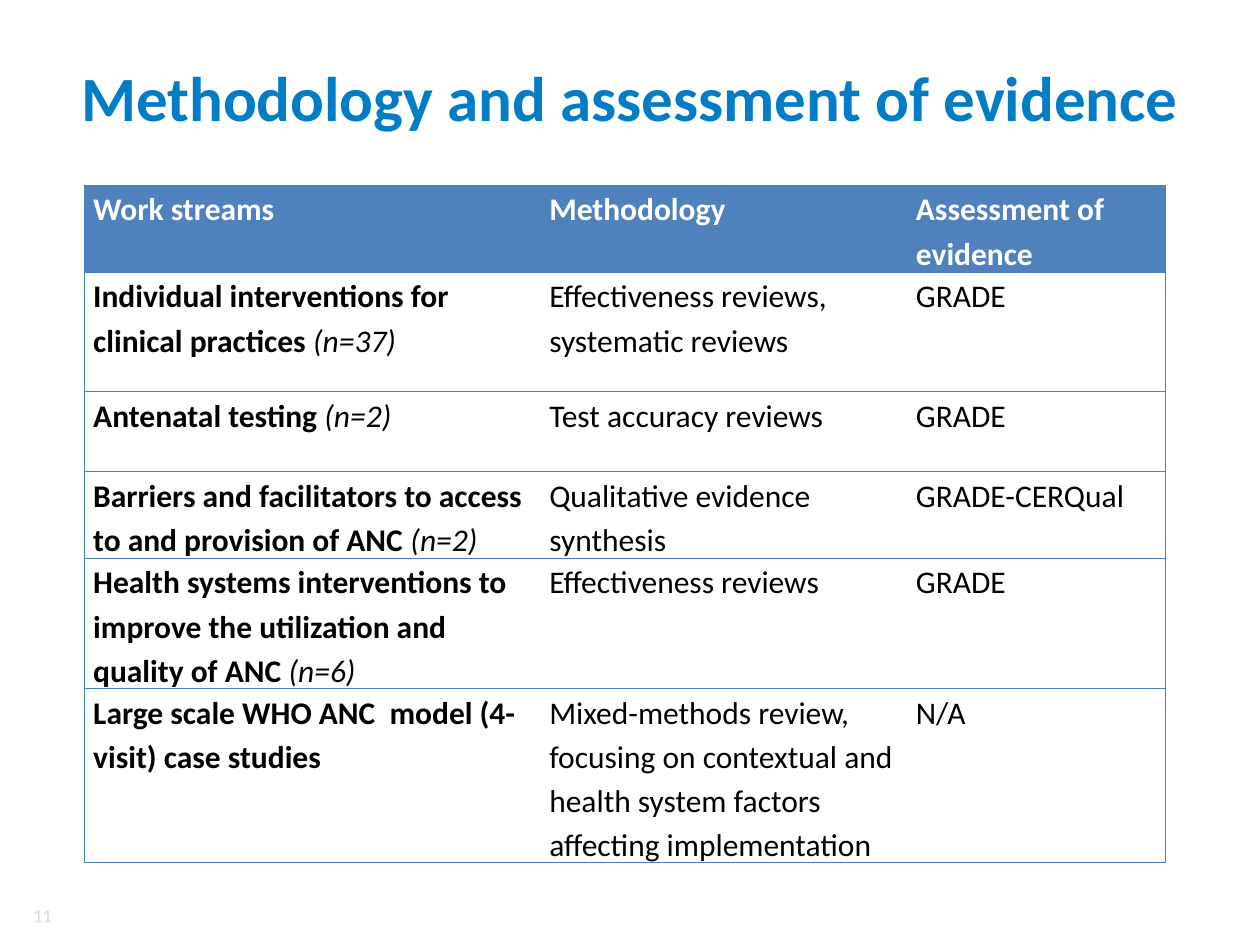
from dataclasses import dataclass

from lxml.etree import SubElement
from pptx import Presentation
from pptx.dml.color import RGBColor
from pptx.enum.text import MSO_ANCHOR, MSO_AUTO_SIZE, PP_ALIGN
from pptx.oxml.ns import qn
from pptx.slide import Slide
from pptx.util import Inches, Pt

WIDTH, HEIGHT = 10, 7.5
NO_GRID_STYLE = "{2D5ABB26-0587-4C30-8999-92F81FD0307C}"


def color(hex_text):
    return RGBColor.from_string(hex_text)


def apply(target, values):
    for name, value in values.items():
        setattr(target, name, value)


def box(left, top, width, height):
    """Turn shares of the slide's size into a position and size."""
    return {"left": Inches(left * WIDTH), "top": Inches(top * HEIGHT),
            "width": Inches(width * WIDTH), "height": Inches(height * HEIGHT)}


@dataclass
class SlideBuilder:
    slide: Slide
    font: str = "Calibri"
    title_color: str = "007DC5"
    header_fill: str = "4F81BD"
    border_color: str = "4B7EBC"
    border_width: float = 0.75

    def add_text(self, paragraph, text, size, hex_text, **styles):
        run = paragraph.add_run()
        run.text = text
        apply(run.font, {"name": self.font, "size": Pt(size), **styles})
        run.font.color.rgb = color(hex_text)

    def title(self, text, place):
        shape = self.slide.shapes.title
        apply(shape, place)
        apply(shape.text_frame, {"auto_size": MSO_AUTO_SIZE.NONE, "word_wrap": True,
                                 "vertical_anchor": MSO_ANCHOR.MIDDLE})
        paragraph = shape.text_frame.paragraphs[0]
        paragraph.alignment = PP_ALIGN.CENTER
        self.add_text(paragraph, text, 36, self.title_color, bold=True)

    def page_number(self, text, place):
        frame = self.slide.shapes.add_textbox(**place).text_frame
        apply(frame, {"word_wrap": True, "vertical_anchor": MSO_ANCHOR.MIDDLE})
        paragraph = frame.paragraphs[0]
        paragraph.alignment = PP_ALIGN.RIGHT
        self.add_text(paragraph, text, 10.5, "D9D9D9")

    def border(self, cell, sides):
        properties = cell._tc.get_or_add_tcPr()
        for side in sides:
            line = SubElement(properties, qn(f"a:ln{side}"), w=str(Pt(self.border_width)))
            fill = SubElement(line, qn("a:solidFill"))
            SubElement(fill, qn("a:srgbClr"), val=self.border_color)

    def cell(self, cell, runs, sides, is_header, alignment):
        margin = Inches(0.07)
        apply(cell, {"margin_left": margin, "margin_right": margin,
                     "margin_top": 0, "margin_bottom": 0})
        self.border(cell, sides)
        if is_header:
            cell.fill.solid()
            cell.fill.fore_color.rgb = color(self.header_fill)
        else:
            cell.fill.background()
        paragraph = cell.text_frame.paragraphs[0]
        apply(paragraph, {"line_spacing": 1.15, "space_before": Pt(6),
                          "alignment": alignment})
        for text, styles in runs:
            self.add_text(paragraph, text, 18, "FFFFFF" if is_header else "000000", **styles)

    def table(self, rows, widths, heights, place):
        frame = self.slide.shapes.add_table(len(rows), len(widths), **place)
        table = frame.table
        table.horz_banding = False
        next(frame.element.iter(qn("a:tableStyleId"))).text = NO_GRID_STYLE
        for column, width in zip(table.columns, widths):
            column.width = Inches(width)
        for row, height in zip(table.rows, heights):
            row.height = Inches(height)
        frame.height = place["height"]

        # Outer frame and lines between rows, none between columns
        last = len(widths) - 1
        for row_index, row in enumerate(rows):
            is_header = row_index == 0
            for column_index, runs in enumerate(row):
                sides = {0: "LTB", last: "RTB"}.get(column_index, "TB")
                justified = column_index == last and not is_header
                alignment = PP_ALIGN.JUSTIFY if justified else PP_ALIGN.LEFT
                self.cell(table.cell(row_index, column_index), runs, sides,
                          is_header, alignment)


HEADERS = ["Work streams", "Methodology", "Assessment of evidence"]
# Work stream, number of reviews, methodology, assessment
STREAMS = [
    ("Individual interventions for clinical practices ", "(n=37)",
     "Effectiveness reviews, systematic reviews", "GRADE"),
    ("Antenatal testing ", "(n=2)", "Test accuracy reviews", "GRADE "),
    ("Barriers and facilitators to access to and provision of ANC ", "(n=2)",
     "Qualitative evidence synthesis", "GRADE-CERQual"),
    ("Health systems interventions to improve the utilization and quality of ANC ",
     "(n=6)", "Effectiveness reviews", "GRADE"),
    ("Large scale WHO ANC  model (4-visit) case studies", "",
     "Mixed-methods review, focusing on contextual and health system factors "
     "affecting implementation", "N/A"),
]


def table_rows():
    bold, plain = {"bold": True}, {"bold": False}
    italic = {"bold": False, "italic": True}
    rows = [[[(header, bold)] for header in HEADERS]]
    for stream, count, method, assessment in STREAMS:
        name = [(stream, bold)] + ([(count, italic)] if count else [])
        rows.append([name, [(method, plain)], [(assessment, plain)]])
    return rows


def main():
    presentation = Presentation()
    apply(presentation, {"slide_width": Inches(WIDTH), "slide_height": Inches(HEIGHT)})
    title_only = presentation.slide_layouts[5]
    builder = SlideBuilder(presentation.slides.add_slide(title_only))

    # Page number, title and evidence table
    builder.page_number("11", box(0.012, 0.952, 0.039, 0.032))
    builder.title("Methodology and assessment of evidence", box(0.05, 0.04, 0.9, 0.124))
    builder.table(table_rows(), widths=[3.62, 2.91, 2.05],
                  heights=[0.63, 0.95, 0.63, 0.63, 0.63, 1.27],
                  place=box(0.067, 0.196, 0.858, 0.716))

    presentation.save("out.pptx")


if __name__ == "__main__":
    main()
